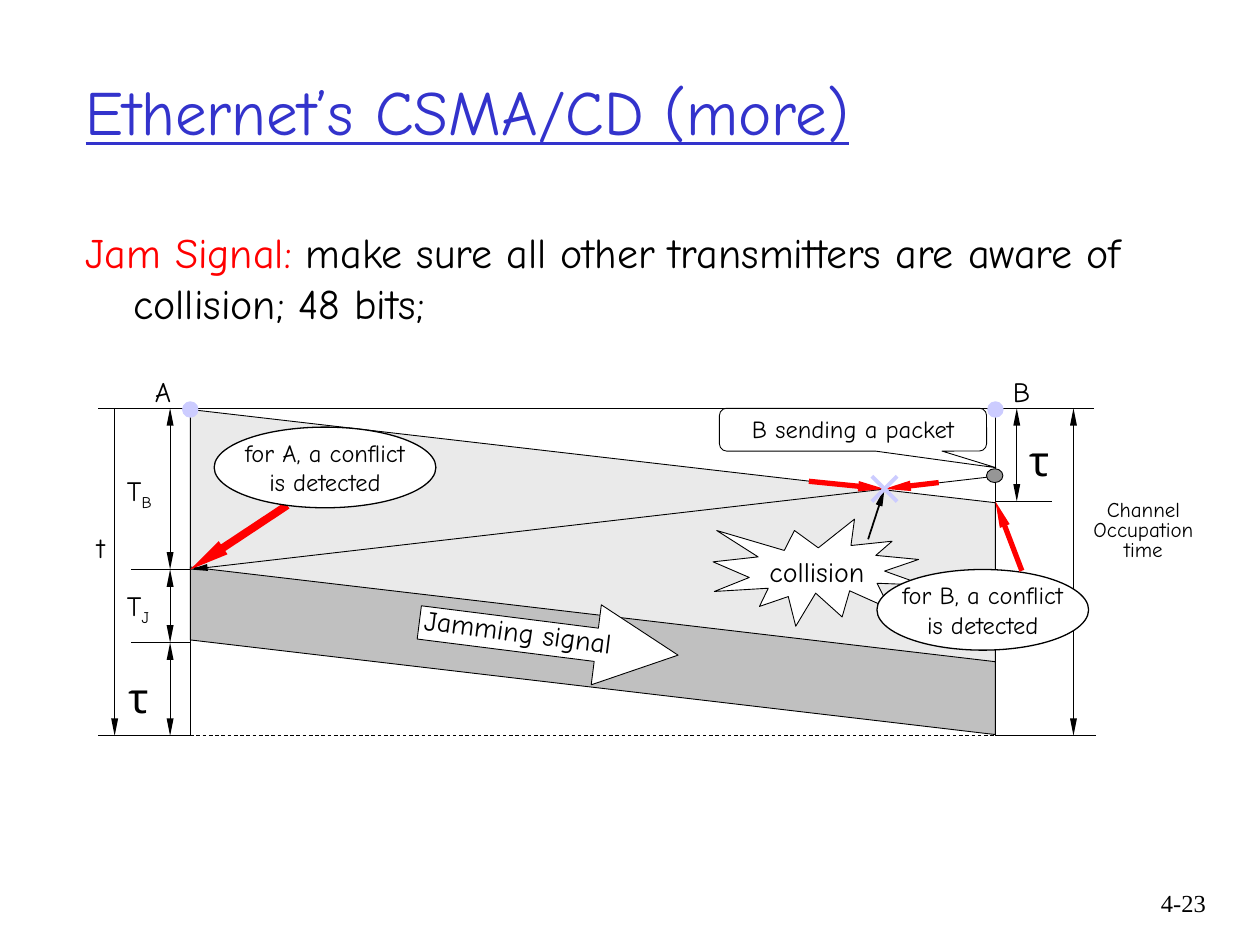
"""Build the CSMA/CD jam signal slide with its space-time diagram."""
from dataclasses import dataclass

from pptx import Presentation
from pptx.dml.color import RGBColor
from pptx.enum.dml import MSO_LINE
from pptx.enum.shapes import MSO_CONNECTOR, MSO_SHAPE as Preset
from pptx.enum.text import MSO_ANCHOR as Anchor, PP_ALIGN as Align
from pptx.oxml.ns import qn
from pptx.util import Inches, Pt
from lxml.etree import SubElement


@dataclass(frozen=True)
class Theme:
    font: str = "Comic Neue"
    number_font: str = "Times New Roman"
    black: str = "000000"
    white: str = "FFFFFF"
    title: str = "3333CC"
    red: str = "FF0000"
    packet: str = "EAEAEA"
    jam: str = "C0C0C0"
    node: str = "969696"
    station: str = "CCCCFF"
    title_size: int = 36
    body_size: int = 24
    label_size: int = 16
    note_size: int = 14
    small_size: int = 12
    thin: float = 0.5
    outline: float = 0.75


THEME = Theme()

A_X, B_X = 1.51, 7.9
TOP, BOTTOM = 3.24, 5.84
B_DETECTS, A_DETECTS, JAM_ENDS = 3.98, 4.52, 5.1
B_SENDS = 3.78
COLLISION_X, COLLISION_Y = 7.02, 3.88
LEFT_END, T_X, INTERVAL_X, TAU_X, CHANNEL_X, RIGHT_END = 0.78, 0.91, 1.35, 8.07, 8.52, 8.7

TITLE = "Ethernet’s CSMA/CD (more)"
BODY = [[("Jam Signal:", {"color": THEME.red}),
         (" make sure all other transmitters are aware of collision; 48 bits;", {})]]
PAGE_NUMBER = "4-23"

BANDS = [
    ((3.7, 1.06, 2.01, 6.39), 0.368, THEME.packet),
    ((4.04, 1.97, 1.33, 6.39), 0.565, THEME.jam),
]
CALLOUTS = [
    (Preset.EXPLOSION1, (5.66, 4.12, 1.67, 0.85), {}, "collision",
     {"margins": (0, 0.05, 0, 0.05), "spacing": 0.96, "after": 30}),
    (Preset.ROUNDED_RECTANGULAR_CALLOUT, (5.71, TOP, 2.12, 0.34),
     {"adjustments": (0.535, 0.888, 0.167)}, "B sending a packet",
     {"margins": (0.1, 0.09, 0.1, 0.05), "spacing": 0.72, "size": THEME.note_size}),
    (Preset.RIGHT_ARROW, (3.32, 4.75, 2.07, 0.64),
     {"adjustments": (0.415, 1.022), "rotation": 7.2}, "Jamming signal",
     {"margins": (0.04, 0.02, 0.04, 0.02), "spacing": 0.8, "align": Align.JUSTIFY}),
]
CONFLICTS = [
    ((1.7, 3.39, 1.76, 0.64), ["for A, a conflict", "is detected"]),
    ((6.96, 4.52, 1.68, 0.64), ["for B, a conflict", "is detected"]),
]
SUBSCRIPT = {"baseline": -25000}
LABELS = [
    ((1.13, 2.92, 0.52, 0.37), "A", {}),
    ((7.94, 2.92, 0.48, 0.37), "B", {}),
    ((8.07, 3.4, 0.53, 0.37), "τ", {"size": THEME.body_size}),
    ((0.92, 5.28, 0.53, 0.37), "τ", {"size": THEME.body_size}),
    ((0.55, 4.16, 0.5, 0.37), "t", {"align": Align.CENTER}),
    ((0.91, 3.71, 0.6, 0.42), [[("T", {}), ("B", SUBSCRIPT)]], {}),
    ((0.91, 4.62, 0.6, 0.42), [[("T", {}), ("J", SUBSCRIPT)]], {}),
    ((8.43, 3.93, 1.29, 1.3), ["Channel", "Occupation", "time"],
     {"size": THEME.small_size, "align": Align.CENTER, "spacing": 0.8}),
]
PLAIN_LINES = [
    (LEFT_END, TOP, A_X, TOP), (A_X, TOP, B_X, TOP), (B_X, TOP, 8.68, TOP),
    (A_X, TOP, A_X, BOTTOM), (B_X, TOP, B_X, BOTTOM),
    (B_X, B_DETECTS, 8.35, B_DETECTS),
    (1.04, A_DETECTS, A_X, A_DETECTS), (1.04, JAM_ENDS, A_X, JAM_ENDS),
    (LEFT_END, BOTTOM, A_X, BOTTOM), (B_X, BOTTOM, RIGHT_END, BOTTOM),
]
INTERVALS = [
    (INTERVAL_X, TOP, A_DETECTS), (INTERVAL_X, A_DETECTS, JAM_ENDS),
    (INTERVAL_X, JAM_ENDS, BOTTOM), (TAU_X, TOP, B_DETECTS), (CHANNEL_X, TOP, BOTTOM),
]
BACK_ARROWS = [
    ((T_X, TOP, T_X, BOTTOM), THEME.black, THEME.thin),
    ((B_X, B_SENDS, A_X, A_DETECTS), THEME.black, THEME.thin),
    ((6.89, 4.28, COLLISION_X, COLLISION_Y), THEME.black, 1),
    ((2.28, 4.01, A_X, A_DETECTS), THEME.red, 4.5),
]
FRONT_ARROWS = [
    ((8.11, 4.53, B_X, B_DETECTS), THEME.red, 3),
    ((6.42, 3.82, COLLISION_X, COLLISION_Y), THEME.red, 3),
    ((7.45, 3.83, COLLISION_X, COLLISION_Y), THEME.red, 3),
]


def write_text(shape, content, size=THEME.label_size, color=THEME.black, font=THEME.font,
               align=Align.LEFT, anchor=Anchor.TOP, spacing=None, after=None, hanging=0,
               margins=(0.1, 0.05, 0.1, 0.05), wrap=True, underline=None):
    frame = shape.text_frame
    frame.word_wrap, frame.vertical_anchor = wrap, anchor
    frame.margin_left, frame.margin_top, frame.margin_right, frame.margin_bottom = map(Inches, margins)
    for index, runs in enumerate([content] if isinstance(content, str) else content):
        paragraph = frame.add_paragraph() if index else frame.paragraphs[0]
        paragraph.alignment, paragraph.space_before = align, Pt(0)
        if spacing:
            paragraph.line_spacing = spacing
        if after:
            paragraph.space_after = Pt(after)
        if hanging:
            properties = paragraph._p.get_or_add_pPr()
            properties.set("marL", str(Inches(hanging)))
            properties.set("indent", str(-Inches(hanging)))
        for text, style in [(runs, {})] if isinstance(runs, str) else runs:
            run = paragraph.add_run()
            run.text = text
            run.font.name, run.font.size, run.font.underline = font, Pt(size), underline
            run.font.color.rgb = RGBColor.from_string(style.get("color", color))
            if "baseline" in style:
                run._r.get_or_add_rPr().set("baseline", str(style["baseline"]))


def add_text(slide, box, content, **style):
    write_text(slide.shapes.add_textbox(*map(Inches, box)), content, **style)


def add_preset(slide, preset, box, fill=THEME.white, line=THEME.black, width=THEME.thin,
               adjustments=(), rotation=0):
    shape = slide.shapes.add_shape(preset, *map(Inches, box))
    shape.shadow.inherit = False
    shape.fill.solid()
    shape.fill.fore_color.rgb = RGBColor.from_string(fill)
    shape.line.color.rgb = RGBColor.from_string(line)
    shape.line.width = Pt(width)
    shape.rotation = rotation
    for index, value in enumerate(adjustments):
        shape.adjustments[index] = value
    return shape


def add_line(slide, ends, color=THEME.black, width=THEME.thin, arrows=(), dash=None):
    connector = slide.shapes.add_connector(MSO_CONNECTOR.STRAIGHT, *map(Inches, ends))
    connector.line.color.rgb = RGBColor.from_string(color)
    connector.line.width = Pt(width)
    if dash:
        connector.line.dash_style = dash
    for end in arrows:
        SubElement(connector.line._get_or_add_ln(), qn(f"a:{end}"), type="triangle", w="sm", len="lg")
    SubElement(connector._element.spPr, qn("a:effectLst"))


def add_arrows(slide, arrows):
    for ends, color, width in arrows:
        add_line(slide, ends, color, width, arrows=("tailEnd",))


def add_diagram(slide):
    for box, slant, fill in BANDS:
        add_preset(slide, Preset.PARALLELOGRAM, box, fill, adjustments=(slant,), rotation=270)
    for preset, box, form, text, style in CALLOUTS:
        write_text(add_preset(slide, preset, box, **form), text, **{"align": Align.CENTER, **style})
    for ends in PLAIN_LINES:
        add_line(slide, ends)
    add_line(slide, (A_X, BOTTOM, B_X, BOTTOM), dash=MSO_LINE.DASH)
    for x, start, end in INTERVALS:
        add_line(slide, (x, start, x, end), arrows=("headEnd", "tailEnd"))
    add_arrows(slide, BACK_ARROWS)
    for box, content, style in LABELS:
        add_text(slide, box, content, **{"align": Align.JUSTIFY, **style})
    add_preset(slide, Preset.OVAL, (7.83, 3.72, 0.13, 0.11), THEME.node)
    for box, content in CONFLICTS:
        write_text(add_preset(slide, Preset.OVAL, box, width=THEME.outline), content,
                   size=THEME.note_size, align=Align.CENTER, anchor=Anchor.MIDDLE, wrap=False)
    add_arrows(slide, FRONT_ARROWS)
    for x in (A_X, B_X):
        add_preset(slide, Preset.OVAL, (x - 0.06, TOP - 0.05, 0.12, 0.12),
                   THEME.station, THEME.station, THEME.outline)
    for rise in (-0.1, 0.1):
        add_line(slide, (COLLISION_X - 0.1, COLLISION_Y - rise, COLLISION_X + 0.1, COLLISION_Y + rise),
                 THEME.station, 2.25)


def main():
    presentation = Presentation()
    presentation.slide_width, presentation.slide_height = Inches(10), Inches(7.5)
    slide = presentation.slides.add_slide(presentation.slide_layouts[5])
    title = slide.shapes.title
    title.left, title.top, title.width, title.height = map(Inches, (0.58, 0.25, 8.5, 1.25))
    write_text(title, TITLE, size=THEME.title_size, color=THEME.title,
               anchor=Anchor.MIDDLE, underline=True)
    add_text(slide, (0.58, 1.75, 8.5, 5.08), BODY, size=THEME.body_size, hanging=0.38)
    add_diagram(slide)
    add_text(slide, (8.93, 7, 0.74, 0.5), PAGE_NUMBER, size=THEME.note_size,
             font=THEME.number_font, align=Align.RIGHT)
    presentation.save("out.pptx")


if __name__ == "__main__":
    main()
